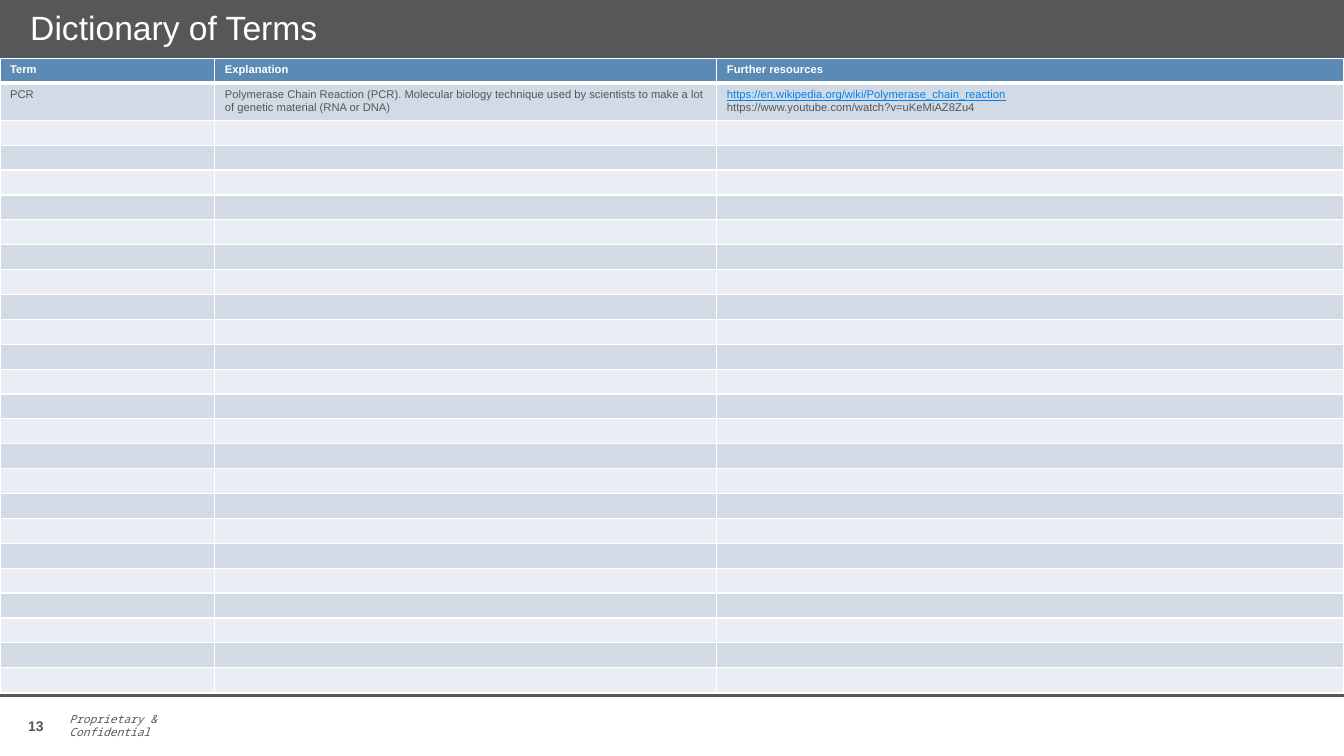
"""Build the "Dictionary of Terms" slide with its glossary table."""
import lxml.etree
import pptx
import pptx.dml.color
import pptx.enum.shapes
import pptx.enum.text
import pptx.oxml.ns
import pptx.util

Inches = pptx.util.Inches
Pt = pptx.util.Pt
qn = pptx.oxml.ns.qn
ANCHOR = pptx.enum.text.MSO_ANCHOR

THEME = {
    "dark": "555759", "white": "FFFFFF", "header": "5B8AB5",
    "bands": ("D2DAE5", "EAEDF3"), "link": "0082EE",
    "font": "Arial", "mono": "Noto Sans Mono",
    "title": 24, "number": 10, "small": 8,
}


def rgb(value):
    return pptx.dml.color.RGBColor.from_string(value)


def add_run(p, text, size, color, font=THEME["font"], bold=False, italic=False, underline=False):
    r = p.add_run()
    r.text = text
    r.font.name = font
    r.font.size = Pt(size)
    r.font.color.rgb = rgb(color)
    r.font.bold = bold
    r.font.italic = italic
    r.font.underline = underline


prs = pptx.Presentation()
prs.slide_width = Inches(13.33)
prs.slide_height = Inches(7.5)
s = prs.slides.add_slide(prs.slide_layouts[5])

footers = [
    (0.18, 7.01, 1.91, 0.39, "13", THEME["number"], THEME["font"], True, False),
    (0.59, 7.08, 1.49, 0.24, "Proprietary & Confidential", THEME["small"], THEME["mono"], False, True),
]
for left, top, width, height, text, size, font, bold, italic in footers:
    sp = s.shapes.add_textbox(Inches(left), Inches(top), Inches(width), Inches(height))
    tf = sp.text_frame
    tf.word_wrap = True
    tf.vertical_anchor = ANCHOR.MIDDLE
    add_run(tf.paragraphs[0], text, size, THEME["dark"], font, bold, italic)

rule = s.shapes.add_connector(
    pptx.enum.shapes.MSO_CONNECTOR.STRAIGHT, 0, Inches(6.9), prs.slide_width, Inches(6.9))
rule.line.color.rgb = rgb(THEME["dark"])
rule.line.width = Pt(2.25)
lxml.etree.SubElement(rule._element.spPr, qn("a:effectLst"))

title = s.shapes.title
title.left, title.top = 0, 0
title.width, title.height = prs.slide_width, Inches(0.58)
title.fill.solid()
title.fill.fore_color.rgb = rgb(THEME["dark"])
tf = title.text_frame
tf.word_wrap = True
tf.auto_size = pptx.enum.text.MSO_AUTO_SIZE.NONE
tf.vertical_anchor = ANCHOR.MIDDLE
tf.margin_left = Inches(0.3)
tf.margin_top = tf.margin_right = tf.margin_bottom = Inches(0.05)
p = tf.paragraphs[0]
p.alignment = pptx.enum.text.PP_ALIGN.LEFT
p.line_spacing = 0.95
add_run(p, "Dictionary of Terms", THEME["title"], THEME["white"])

ROWS = 25
COLUMN_WIDTHS = (2.13, 4.98, 6.22)
CONTENT = [
    [["Term"], ["Explanation"], ["Further resources"]],
    [
        ["PCR"],
        ["Polymerase Chain Reaction (PCR). Molecular biology technique used by "
         "scientists to make a lot of genetic material (RNA or DNA)"],
        ["https://en.wikipedia.org/wiki/Polymerase_chain_reaction",
         "https://www.youtube.com/watch?v=uKeMiAZ8Zu4"],
    ],
]
LINK = CONTENT[1][2][0]

table = s.shapes.add_table(
    ROWS, len(COLUMN_WIDTHS), 0, Inches(0.58), prs.slide_width, Inches(6.18)).table
for column, width in zip(table.columns, COLUMN_WIDTHS):
    column.width = Inches(width)

for i in range(ROWS):
    is_header = i == 0
    fill = THEME["header"] if is_header else THEME["bands"][(i - 1) % 2]
    for j in range(len(COLUMN_WIDTHS)):
        cell = table.cell(i, j)
        tcPr = cell._tc.get_or_add_tcPr()
        for side in ("lnL", "lnR", "lnT", "lnB"):
            under_header = (i, side) in ((0, "lnB"), (1, "lnT"))
            ln = lxml.etree.SubElement(tcPr, qn("a:" + side), w=str(Pt(3 if under_header else 1)))
            solid = lxml.etree.SubElement(ln, qn("a:solidFill"))
            lxml.etree.SubElement(solid, qn("a:srgbClr"), val=THEME["white"])
        cell.fill.solid()
        cell.fill.fore_color.rgb = rgb(fill)

        tf = cell.text_frame
        lines = CONTENT[i][j] if i < len(CONTENT) else []
        for n, text in enumerate(lines):
            p = tf.paragraphs[0] if n == 0 else tf.add_paragraph()
            is_link = text == LINK
            color = THEME["white"] if is_header else THEME["link"] if is_link else THEME["dark"]
            add_run(p, text, THEME["small"], color, bold=is_header, underline=is_link)
        if not lines:
            lxml.etree.SubElement(
                tf.paragraphs[0]._p, qn("a:endParaRPr"), sz=str(THEME["small"] * 100))

prs.save("out.pptx")
